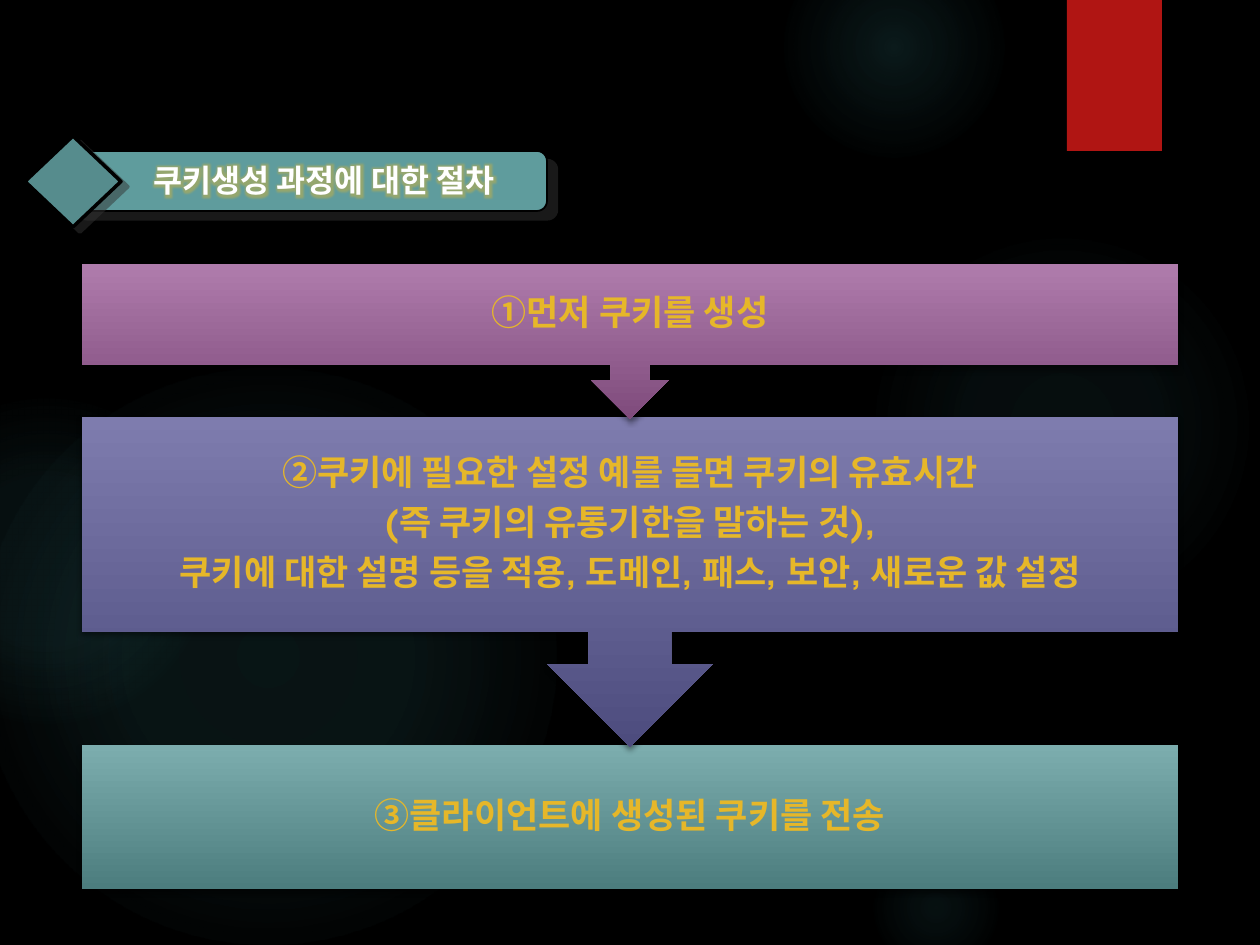
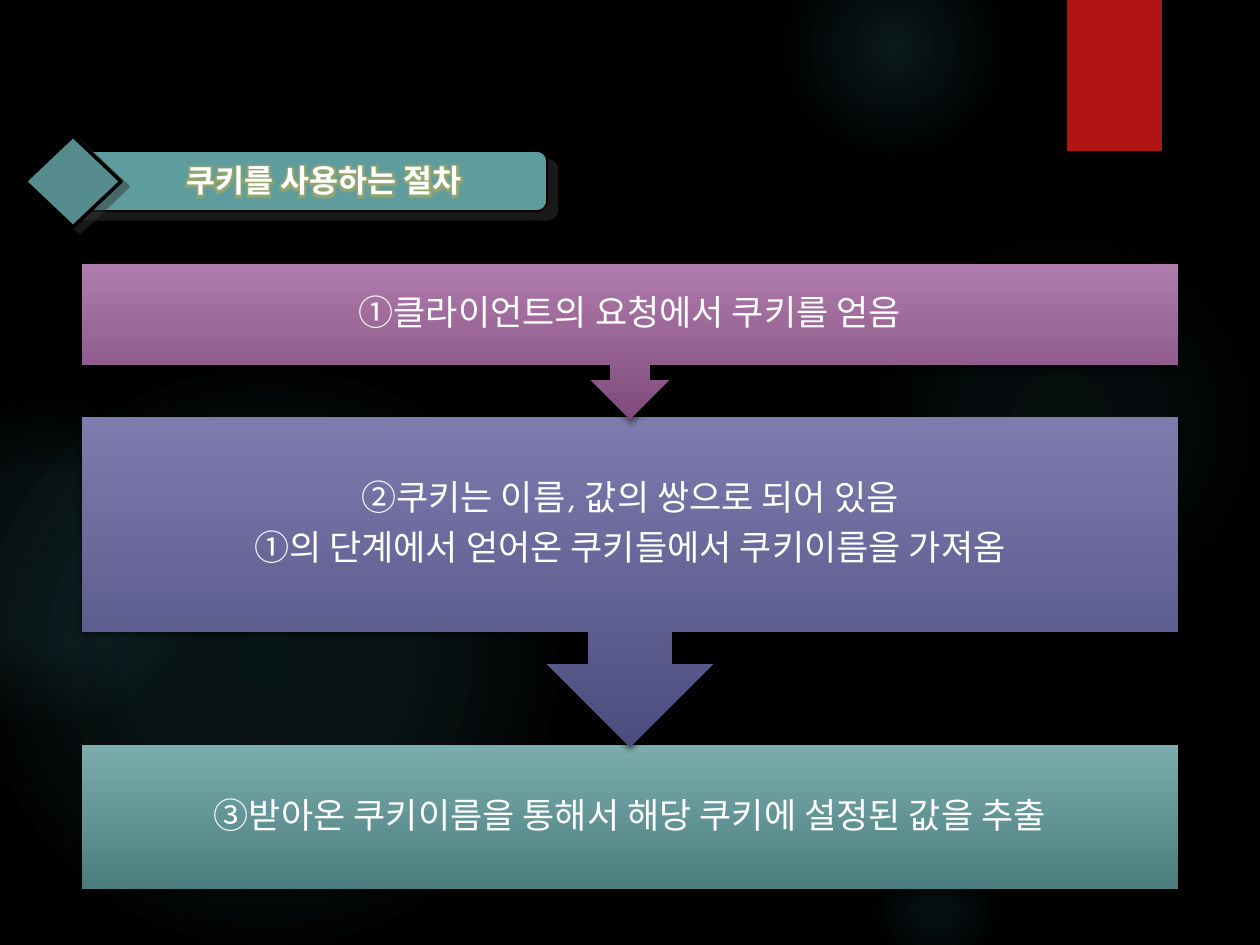
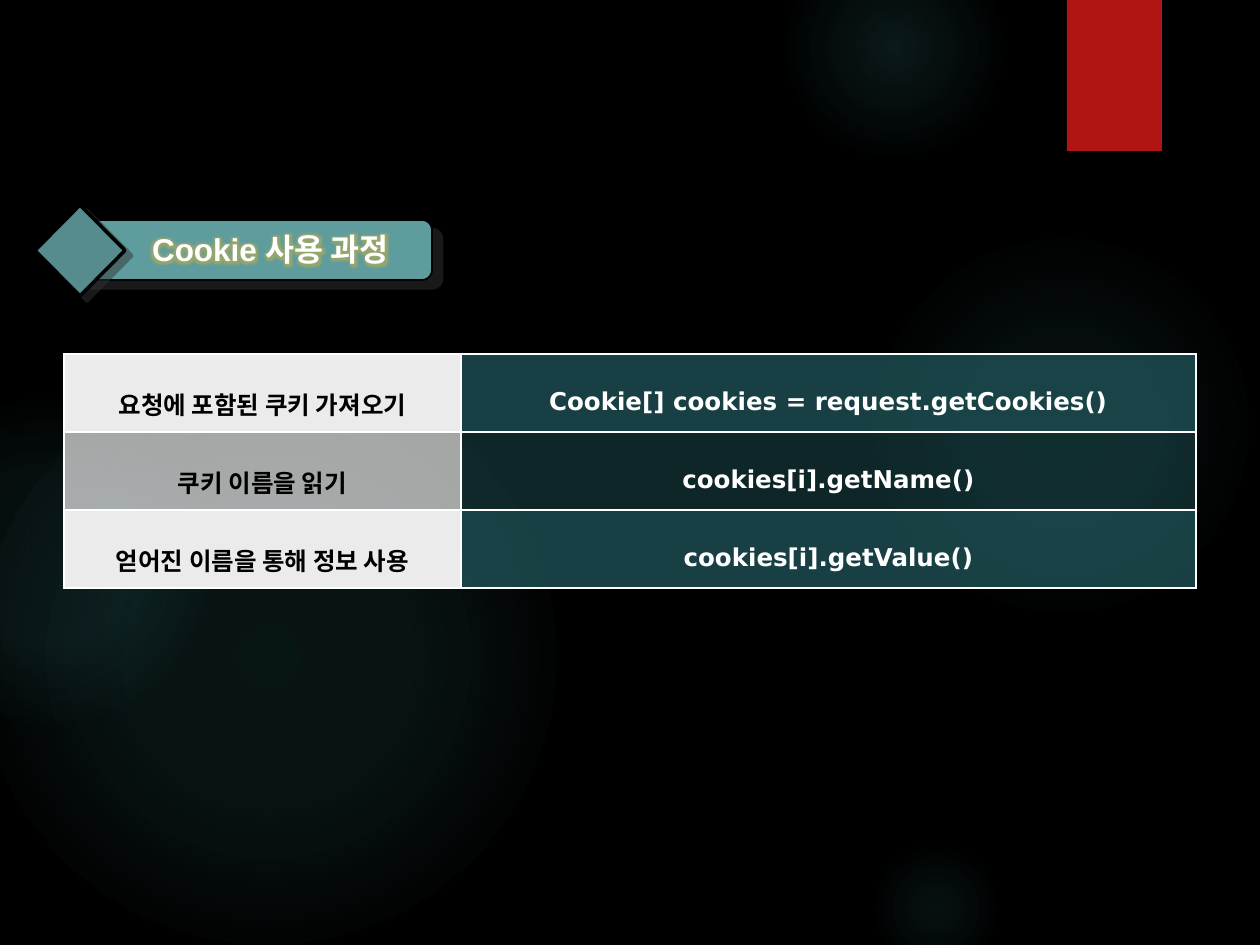
from dataclasses import dataclass

from pptx import Presentation
from pptx.dml.color import RGBColor
from pptx.enum.shapes import MSO_SHAPE as Preset
from pptx.enum.text import MSO_ANCHOR as Anchor, MSO_AUTO_SIZE as AutoSize, PP_ALIGN as Align
from pptx.oxml import parse_xml
from pptx.oxml.ns import nsdecls, qn
from pptx.util import Emu, Pt

PX_PER_INCH = 126
TITLE_ONLY = 5


@dataclass(frozen=True)
class Theme:
    background: str = "000000"
    glow: str = "50B9C1"
    ribbon: str = "B01513"
    badge: str = "5F9C9D"
    diamond: str = "568C8D"
    outline: str = "000000"
    badge_shadow: str = "333333"
    soft_shadow: str = "000000"
    white: str = "FFFFFF"
    black: str = "000000"
    gold: str = "E6B729"
    plum: tuple = ("AF7CAC", "7F4B7C")
    violet: tuple = ("7E7CAE", "4D4C7E")
    teal: tuple = ("7CADAE", "4C7D7E")
    label_fill: str = "EBEBEB"
    code_fill: str = "1E5155"
    title_font: str = "Arial"
    step_font: str = "TeX Gyre Adventor"
    table_font: str = "DejaVu Sans"
    title_size: int = 18
    step_size: int = 20
    table_size: int = 14


THEME = Theme()

GLOWS = [
    (868, 231, 388, ((0, 7), (36, 6), (69, 0))),
    (784, -63, 220, ((0, 14), (36, 7), (73, 0))),
    (868, 840, 136, ((0, 9), (36, 5), (66, 0))),
    (-21, 368, 577, ((0, 11), (36, 10), (75, 0))),
    (-116, 399, 325, ((0, 8), (36, 8), (72, 0))),
]

STEPS = [
    (Preset.DOWN_ARROW_CALLOUT, 264, 155, THEME.plum),
    (Preset.DOWN_ARROW_CALLOUT, 417, 330, THEME.violet),
    (Preset.RECTANGLE, 745, 144, THEME.teal),
]

CREATE_STEPS = [
    ["①먼저 쿠키를 생성"],
    [
        "②쿠키에 필요한 설정 예를 들면 쿠키의 유효시간",
        "(즉 쿠키의 유통기한을 말하는 것),",
        "쿠키에 대한 설명 등을 적용, 도메인, 패스, 보안, 새로운 값 설정",
    ],
    ["③클라이언트에 생성된 쿠키를 전송"],
]

USE_STEPS = [
    ["①클라이언트의 요청에서 쿠키를 얻음"],
    [
        "②쿠키는 이름, 값의 쌍으로 되어 있음",
        "①의 단계에서 얻어온 쿠키들에서 쿠키이름을 가져옴",
    ],
    ["③받아온 쿠키이름을 통해서 해당 쿠키에 설정된 값을 추출"],
]

COOKIE_CALLS = [
    ("요청에 포함된 쿠키 가져오기", "Cookie[] cookies = request.getCookies()"),
    ("쿠키 이름을 읽기", "cookies[i].getName()"),
    ("얻어진 이름을 통해 정보 사용", "cookies[i].getValue()"),
]


def px(length):
    return Emu(round(length * 914400 / PX_PER_INCH))


def rgb(color):
    return RGBColor.from_string(color)


def color_xml(color, alpha):
    return f'<a:srgbClr val="{color}"><a:alpha val="{alpha * 1000}"/></a:srgbClr>'


def add_preset(page, preset, left, top, width, height, fill=None):
    shape = page.shapes.add_shape(preset, px(left), px(top), px(width), px(height))
    shape.shadow.inherit = False
    shape.line.fill.background()
    if fill:
        shape.fill.solid()
        shape.fill.fore_color.rgb = rgb(fill)
    return shape


def set_outline(shape, color, width):
    shape.line.color.rgb = rgb(color)
    shape.line.width = Pt(width)


def set_shadow(shape, color, alpha, blur, distance, angle):
    effects = shape.element.spPr.find(qn("a:effectLst"))
    effects.append(parse_xml(
        f'<a:outerShdw {nsdecls("a")} blurRad="{Pt(blur)}" dist="{Pt(distance)}" '
        f'dir="{angle * 60000}" algn="ctr" rotWithShape="0">{color_xml(color, alpha)}</a:outerShdw>'
    ))


def set_soft_shadow(shape):
    set_shadow(shape, THEME.soft_shadow, 45, 3, 2, 90)


def set_font(para, name, size, color, bold):
    font = para.font
    font.name, font.size, font.bold = name, Pt(size), bold
    font.color.rgb = rgb(color)


def add_glow(page, left, top, size, stops):
    circle = add_preset(page, Preset.OVAL, left, top, size, size)
    circle.fill.gradient()
    properties = circle.element.spPr
    stops_xml = "".join(
        f'<a:gs pos="{position * 1000}">{color_xml(THEME.glow, alpha)}</a:gs>'
        for position, alpha in stops
    )
    properties.replace(properties.find(qn("a:gradFill")), parse_xml(
        f'<a:gradFill {nsdecls("a")}><a:gsLst>{stops_xml}</a:gsLst><a:path path="circle">'
        '<a:fillToRect l="50000" t="50000" r="50000" b="50000"/></a:path></a:gradFill>'
    ))
    return circle


def decorate_master(master, page):
    master.background.fill.solid()
    master.background.fill.fore_color.rgb = rgb(THEME.background)
    decorations = [add_glow(page, *glow) for glow in GLOWS]
    ribbon = add_preset(page, Preset.RECTANGLE, 1067, 0, 95, 151, THEME.ribbon)
    set_soft_shadow(ribbon)
    for shape in decorations + [ribbon]:
        master.shapes.element.append(shape.element)


def add_badge(page, text, top, bar_width, diamond_left, diamond_width, title_width):
    bar = add_preset(page, Preset.ROUNDED_RECTANGLE, 67, top, bar_width, 60, THEME.badge)
    set_outline(bar, THEME.outline, 1)
    set_shadow(bar, THEME.badge_shadow, 50, 0, 7.8, 40)
    diamond = add_preset(
        page, Preset.DIAMOND, diamond_left, top - 15, diamond_width, 91, THEME.diamond)
    set_outline(diamond, THEME.outline, 2)
    set_shadow(diamond, THEME.badge_shadow, 50, 0, 5, 37)

    title = page.shapes.title
    title.left, title.top, title.width, title.height = map(px, (101, top + 4, title_width, 50))
    frame = title.text_frame
    frame.text = text
    frame.word_wrap = True
    frame.auto_size = AutoSize.SHAPE_TO_FIT_TEXT
    frame.vertical_anchor = Anchor.TOP
    para = frame.paragraphs[0]
    para.alignment = Align.CENTER
    set_font(para, THEME.title_font, THEME.title_size, THEME.white, True)
    for span in title.element.iter(qn("a:r")):
        span.get_or_add_rPr().append(parse_xml(
            f'<a:effectLst {nsdecls("a")}><a:glow rad="{Pt(5)}">'
            f'{color_xml(THEME.gold, 40)}</a:glow></a:effectLst>'
        ))
    page.shapes.element.append(title.element)


def add_step(page, preset, top, height, colors, lines, text_color, bold):
    box = add_preset(page, preset, 82, top, 1096, height)
    box.fill.gradient()
    box.fill.gradient_angle = 270
    for stop, color in zip(box.fill.gradient_stops, colors):
        stop.color.rgb = rgb(color)
    set_soft_shadow(box)

    frame = box.text_frame
    frame.word_wrap = True
    frame.vertical_anchor = Anchor.MIDDLE
    frame.margin_left = frame.margin_right = frame.margin_top = frame.margin_bottom = px(20)
    frame.text = "\n".join(lines)
    for para in frame.paragraphs:
        para.alignment = Align.CENTER
        para.line_spacing = 0.9
        para.space_after = Pt(0)
        set_font(para, THEME.step_font, THEME.step_size, text_color, bold)
    for spacing in box.element.iter(qn("a:spcAft")):
        spacing.clear()
        spacing.append(parse_xml(f'<a:spcPct {nsdecls("a")} val="35000"/>'))


def add_flow(page, texts, text_color, bold):
    for step, lines in reversed(list(zip(STEPS, texts))):
        add_step(page, *step, lines, text_color, bold)


def set_cell(cell, text, text_color, fill, alpha):
    cell.fill.solid()
    cell.fill.fore_color.rgb = rgb(fill)
    properties = cell._tc.get_or_add_tcPr()
    solid = properties.find(qn("a:solidFill"))
    solid[0].append(parse_xml(f'<a:alpha {nsdecls("a")} val="{alpha * 1000}"/>'))
    for index, side in enumerate("LRTB"):
        properties.insert(index, parse_xml(
            f'<a:ln{side} {nsdecls("a")} w="{Pt(1)}"><a:solidFill>'
            f'{color_xml(THEME.white, 100)}</a:solidFill></a:ln{side}>'
        ))
    cell.vertical_anchor = Anchor.MIDDLE
    cell.margin_left = cell.margin_right = px(9)
    cell.margin_top = cell.margin_bottom = px(3)
    cell.text = text
    para = cell.text_frame.paragraphs[0]
    para.alignment = Align.CENTER
    para.line_spacing = 1.6
    set_font(para, THEME.table_font, THEME.table_size, text_color, True)


def add_call_table(page, calls):
    widths, row_height = (397, 735), 78
    table = page.shapes.add_table(
        len(calls), len(widths), px(64), px(354), px(sum(widths)), px(row_height * len(calls))
    ).table
    table.first_row = table.horz_banding = False
    for column, width in zip(table.columns, widths):
        column.width = px(width)
    for index, (label, code) in enumerate(calls):
        label_alpha, code_alpha = (70, 48) if index % 2 else (100, 80)
        set_cell(table.cell(index, 0), label, THEME.black, THEME.label_fill, label_alpha)
        set_cell(table.cell(index, 1), code, THEME.white, THEME.code_fill, code_alpha)


def main():
    deck = Presentation()
    deck.slide_width, deck.slide_height = px(1260), px(945)
    layout = deck.slide_layouts[TITLE_ONLY]
    create_page, use_page, call_page = [deck.slides.add_slide(layout) for _ in range(3)]
    decorate_master(deck.slide_master, create_page)

    add_flow(create_page, CREATE_STEPS, THEME.gold, True)
    add_badge(create_page, "쿠키생성 과정에 대한 절차", 151, 480, 25, 96, 446)

    add_flow(use_page, USE_STEPS, THEME.white, False)
    add_badge(use_page, "쿠키를 사용하는 절차", 151, 480, 25, 96, 446)

    add_call_table(call_page, COOKIE_CALLS)
    add_badge(call_page, "Cookie 사용 과정", 220, 365, 35, 90, 339)

    deck.save("out.pptx")


if __name__ == "__main__":
    main()
